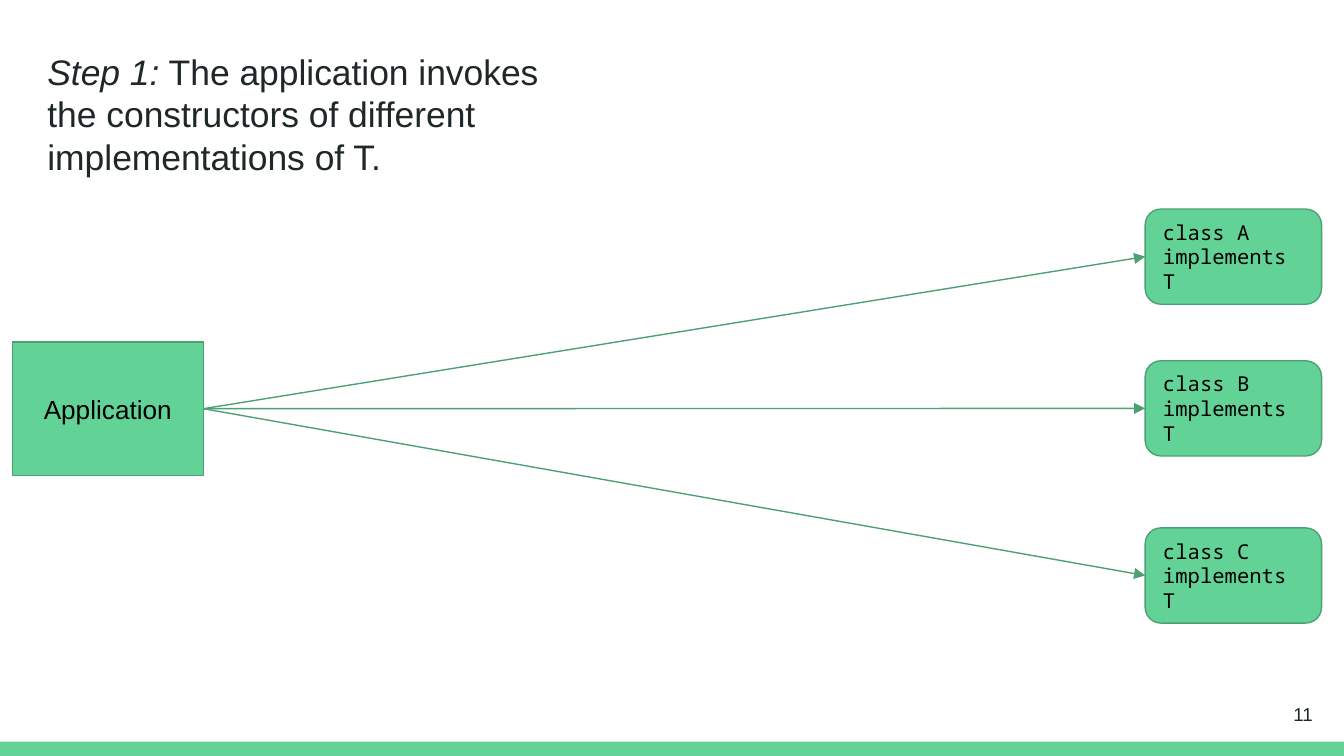
from lxml import etree
from pptx import Presentation
from pptx.dml.color import RGBColor
from pptx.enum.shapes import MSO_CONNECTOR, MSO_SHAPE
from pptx.enum.text import MSO_ANCHOR, PP_ALIGN
from pptx.oxml.ns import qn
from pptx.util import Pt

RECT, ROUNDED = MSO_SHAPE.RECTANGLE, MSO_SHAPE.ROUNDED_RECTANGLE
STRAIGHT = MSO_CONNECTOR.STRAIGHT
TOP, MIDDLE = MSO_ANCHOR.TOP, MSO_ANCHOR.MIDDLE
LEFT, CENTER, RIGHT = PP_ALIGN.LEFT, PP_ALIGN.CENTER, PP_ALIGN.RIGHT

GREEN = RGBColor(0x63, 0xD2, 0x97)
DARK_GREEN = RGBColor(0x4B, 0xA1, 0x73)
INK = RGBColor(0x20, 0x27, 0x29)
BLACK = RGBColor(0, 0, 0)

SANS, MONO = "Arial", "Noto Sans Mono"
INSET = Pt(7.2)
LEFT_SIDE, RIGHT_SIDE = 1, 3
CLASS_TOPS = {"A": 112, "B": 193.3, "C": 282.8}


def format_text(s, size, color, font=SANS, align=LEFT, anchor=MIDDLE):
    tf = s.text_frame
    tf.word_wrap = True
    tf.vertical_anchor = anchor
    tf.margin_left = tf.margin_right = tf.margin_top = tf.margin_bottom = INSET
    for p in tf.paragraphs:
        p.alignment = align
        for r in p.runs:
            r.font.name = font
            r.font.size = Pt(size)
            r.font.color.rgb = color


def add_box(slide, kind, left, top, width, height, outlined=True):
    s = slide.shapes.add_shape(kind, Pt(left), Pt(top), Pt(width), Pt(height))
    s.shadow.inherit = False
    s.fill.solid()
    s.fill.fore_color.rgb = GREEN
    if outlined:
        s.line.color.rgb = DARK_GREEN
        s.line.width = Pt(0.75)
    else:
        s.line.fill.background()
    return s


def add_arrow(slide, source, target):
    """Join the right side of source to the left side of target."""
    c = slide.shapes.add_connector(STRAIGHT, 0, 0, 0, 0)
    c.begin_connect(source, RIGHT_SIDE)
    c.end_connect(target, LEFT_SIDE)
    c.line.color.rgb = DARK_GREEN
    c.line.width = Pt(0.75)
    etree.SubElement(c.line._get_or_add_ln(), qn("a:tailEnd"), type="triangle")
    etree.SubElement(c._element.spPr, qn("a:effectLst"))


def add_title(slide):
    s = slide.shapes.title
    s.left, s.top, s.width, s.height = Pt(18.2), Pt(19.4), Pt(280), Pt(93)
    p = s.text_frame.paragraphs[0]
    step = p.add_run()
    step.text = "Step 1:"
    p.add_run().text = (" The application invokes the constructors"
                        " of different implementations of T.")
    format_text(s, 19, INK, anchor=TOP)
    step.font.italic = True


def add_application(slide):
    s = add_box(slide, RECT, 6.6, 183.2, 102.4, 71.5)
    s.text_frame.text = "Application"
    format_text(s, 14, BLACK, align=CENTER)
    return s


def add_class(slide, name, top):
    s = add_box(slide, ROUNDED, 613.5, top, 94.5, 51)
    s.text_frame.text = f"class {name}\nimplements T"
    format_text(s, 11, BLACK, font=MONO)
    return s


def add_page_number(slide, number):
    s = slide.shapes.add_textbox(Pt(667.1), Pt(367.2), Pt(43.2), Pt(31))
    s.text_frame.text = str(number)
    format_text(s, 10, INK, align=RIGHT)


def main():
    prs = Presentation()
    prs.slide_width, prs.slide_height = Pt(720), Pt(405)
    slide = prs.slides.add_slide(prs.slide_layouts[5])

    add_box(slide, RECT, 0, 397.4, 720, 7.6, outlined=False)
    add_title(slide)
    application = add_application(slide)
    for name, top in CLASS_TOPS.items():
        add_arrow(slide, application, add_class(slide, name, top))
    add_page_number(slide, 11)

    prs.save("out.pptx")


if __name__ == "__main__":
    main()
